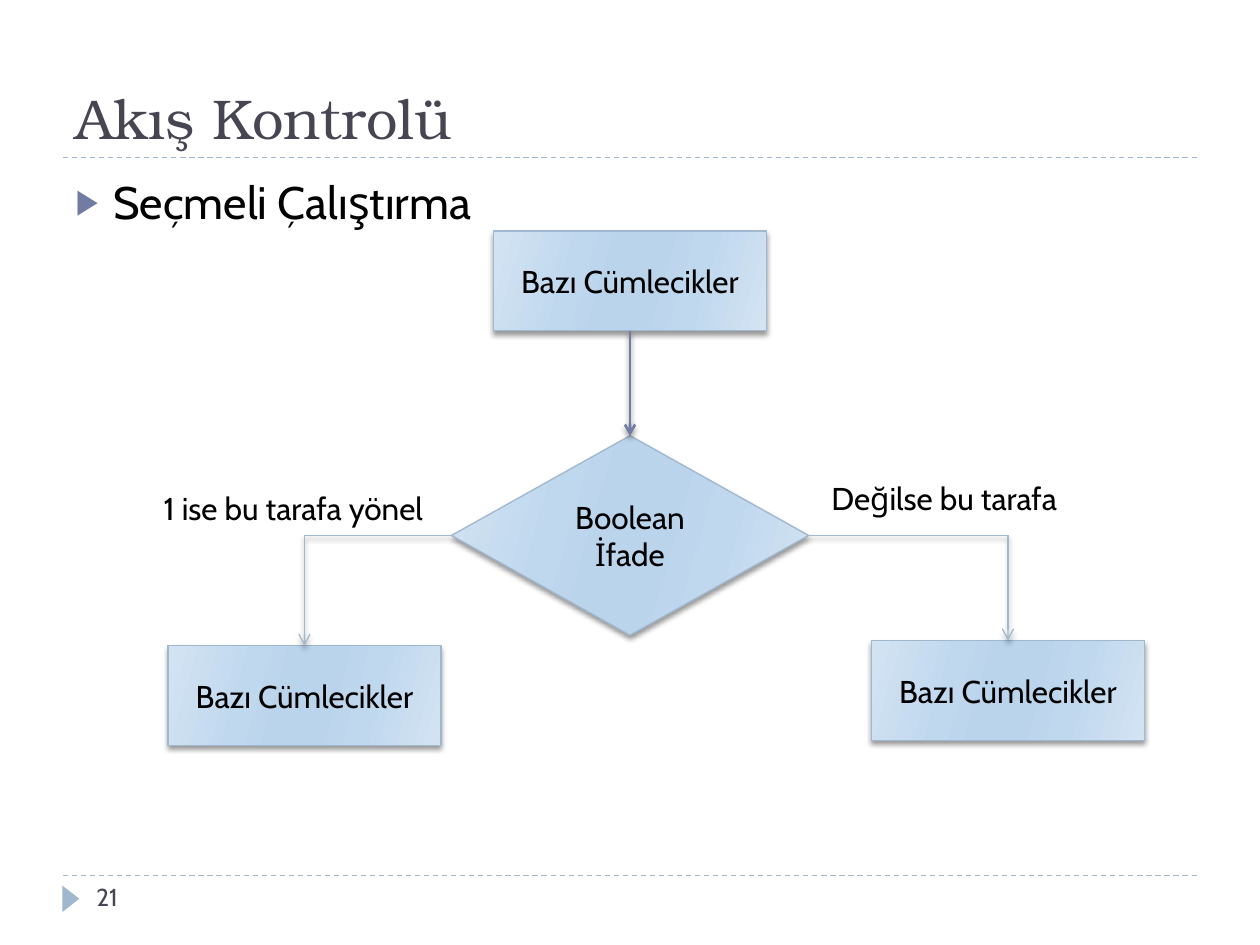
from dataclasses import dataclass

from lxml import etree
from pptx import Presentation
from pptx import util as u
from pptx.dml.color import RGBColor
from pptx.enum import dml, shapes, text
from pptx.oxml import parse_xml
from pptx.oxml.ns import nsdecls, qn

PX = 7620  # EMU per px, 120 px to the inch
BLACK = RGBColor(0x00, 0x00, 0x00)
SLATE = RGBColor(0x46, 0x46, 0x53)
VIOLET = RGBColor(0x72, 0x7C, 0xA3)
STEEL = RGBColor(0x9F, 0xB8, 0xCD)
PALE = RGBColor(0xD3, 0xE3, 0xF2)
LIGHT = RGBColor(0xC0, 0xD8, 0xEE)
SKY = RGBColor(0xBA, 0xD4, 0xEC)
GRADIENT = [(0, PALE), (30, LIGHT), (45, SKY), (55, SKY), (73, LIGHT), (100, PALE)]
HEADING_FONT, BODY_FONT = "TeX Gyre Bonum", "Cabin"
TOP, LEFT, BOTTOM, RIGHT = range(4)


@dataclass
class Box:
    left: int
    top: int
    width: int
    height: int

    def emu(self) -> list[int]:
        return [side * PX for side in (self.left, self.top, self.width, self.height)]


@dataclass
class Node:
    name: str
    words: str
    box: Box
    kind: shapes.MSO_SHAPE = shapes.MSO_SHAPE.FLOWCHART_PROCESS


@dataclass
class Link:
    start: str
    start_side: int
    end: str
    color: RGBColor = STEEL
    weight: float = 0.75
    bent: bool = True


@dataclass
class Label:
    words: str
    box: Box
    size: int = 18
    color: RGBColor = BLACK


STATEMENTS = "Bazı Cümlecikler"
NODES = [
    Node("decision", "Boolean İfade", Box(430, 415, 340, 190),
         shapes.MSO_SHAPE.FLOWCHART_DECISION),
    Node("true", STATEMENTS, Box(160, 615, 260, 95)),
    Node("false", STATEMENTS, Box(830, 610, 260, 95)),
    Node("first", STATEMENTS, Box(470, 220, 260, 95)),
]
LINKS = [
    Link("decision", RIGHT, "false"),
    Link("decision", LEFT, "true"),
    Link("first", BOTTOM, "decision", VIOLET, 1.5, bent=False),
]
LABELS = [
    Label("Değilse bu tarafa", Box(780, 450, 330, 48)),
    Label("1 ise bu tarafa yönel", Box(144, 460, 302, 48)),
    Label("21", Box(80, 834, 260, 48), 14, SLATE),
]


def add_run(paragraph, words: str, size: int, color: RGBColor = BLACK,
            font: str = BODY_FONT) -> None:
    run = paragraph.add_run()
    run.text = words
    run.font.size = u.Pt(size)
    run.font.name = font
    run.font.color.rgb = color


def place(shape, box: Box) -> None:
    shape.left, shape.top, shape.width, shape.height = box.emu()


def set_effects(shape, shadow: bool) -> None:
    properties = shape._element.spPr
    for old in properties.findall(qn("a:effectLst")):
        properties.remove(old)
    effects = etree.SubElement(properties, qn("a:effectLst"))
    if shadow:
        effects.append(parse_xml(
            f'<a:outerShdw {nsdecls("a")} blurRad="38100" dist="25400" dir="5400000" '
            'rotWithShape="0"><a:srgbClr val="000000"><a:alpha val="40000"/>'
            '</a:srgbClr></a:outerShdw>'))


def add_rule(slide, top: int) -> None:
    rule = slide.shapes.add_connector(
        shapes.MSO_CONNECTOR.STRAIGHT, 60 * PX, top * PX, 1140 * PX, top * PX)
    rule.line.color.rgb = STEEL
    rule.line.width = u.Pt(0.75)
    rule.line.dash_style = dml.MSO_LINE.DASH
    set_effects(rule, shadow=False)


def add_node(slide, node: Node):
    shape = slide.shapes.add_shape(node.kind, *node.box.emu())
    shape.fill.gradient()
    shape.fill.gradient_angle = 344
    stops = shape._element.spPr.find(f".//{qn('a:gsLst')}")
    for old in list(stops):
        stops.remove(old)
    for position, color in GRADIENT:
        stop = etree.SubElement(stops, qn("a:gs"), pos=str(position * 1000))
        etree.SubElement(stop, qn("a:srgbClr"), val=str(color))
    shape.line.color.rgb = STEEL
    shape.line.width = u.Pt(0.75)
    set_effects(shape, shadow=True)
    frame = shape.text_frame
    frame.word_wrap = True
    frame.vertical_anchor = text.MSO_ANCHOR.MIDDLE
    frame.paragraphs[0].alignment = text.PP_ALIGN.CENTER
    add_run(frame.paragraphs[0], node.words, 18)
    return shape


def add_link(slide, link: Link, nodes: dict) -> None:
    kind = shapes.MSO_CONNECTOR.ELBOW if link.bent else shapes.MSO_CONNECTOR.STRAIGHT
    connector = slide.shapes.add_connector(kind, 0, 0, 0, 0)
    connector.begin_connect(nodes[link.start], link.start_side)
    connector.end_connect(nodes[link.end], TOP)
    connector.line.color.rgb = link.color
    connector.line.width = u.Pt(link.weight)
    properties = connector._element.spPr
    if link.bent:  # a single corner
        properties.find(qn("a:prstGeom")).set("prst", "bentConnector2")
    etree.SubElement(properties.find(qn("a:ln")), qn("a:tailEnd"), type="arrow")
    set_effects(connector, shadow=True)


def add_label(slide, label: Label) -> None:
    frame = slide.shapes.add_textbox(*label.box.emu()).text_frame
    frame.word_wrap = True
    add_run(frame.paragraphs[0], label.words, label.size, label.color)


def add_bullet(paragraph) -> None:
    properties = paragraph._p.get_or_add_pPr()
    properties.set("marL", str(36 * PX))
    properties.set("indent", str(-36 * PX))
    color = etree.SubElement(properties, qn("a:buClr"))
    etree.SubElement(color, qn("a:srgbClr"), val=str(VIOLET))
    etree.SubElement(properties, qn("a:buSzPct"), val="76000")
    etree.SubElement(properties, qn("a:buChar"), char="▶")


def main() -> None:
    presentation = Presentation()
    presentation.slide_width, presentation.slide_height = 1200 * PX, 900 * PX
    slide = presentation.slides.add_slide(presentation.slide_layouts[1])

    # Rules and footer marker
    add_rule(slide, 834)
    add_rule(slide, 150)
    marker = slide.shapes.add_shape(
        shapes.MSO_SHAPE.ISOSCELES_TRIANGLE, *Box(55, 848, 25, 16).emu())
    marker.rotation = 90
    marker.fill.solid()
    marker.fill.fore_color.rgb = STEEL
    marker.line.fill.background()
    marker.shadow.inherit = False

    # Title and list
    title, body = slide.shapes.title, slide.placeholders[1]
    place(title, Box(60, 20, 1080, 130))
    title.text_frame.vertical_anchor = text.MSO_ANCHOR.BOTTOM
    paragraph = title.text_frame.paragraphs[0]
    paragraph.alignment = text.PP_ALIGN.LEFT
    add_run(paragraph, "Akış Kontrolü", 32, SLATE, HEADING_FONT)
    place(body, Box(60, 160, 1080, 648))
    paragraph = body.text_frame.paragraphs[0]
    paragraph.space_before = u.Pt(6)
    add_bullet(paragraph)
    add_run(paragraph, "Seçmeli Çalıştırma", 26)

    # Flowchart
    nodes = {node.name: add_node(slide, node) for node in NODES}
    for link in LINKS:
        add_link(slide, link, nodes)
    for label in LABELS:
        add_label(slide, label)

    presentation.save("out.pptx")


if __name__ == "__main__":
    main()
